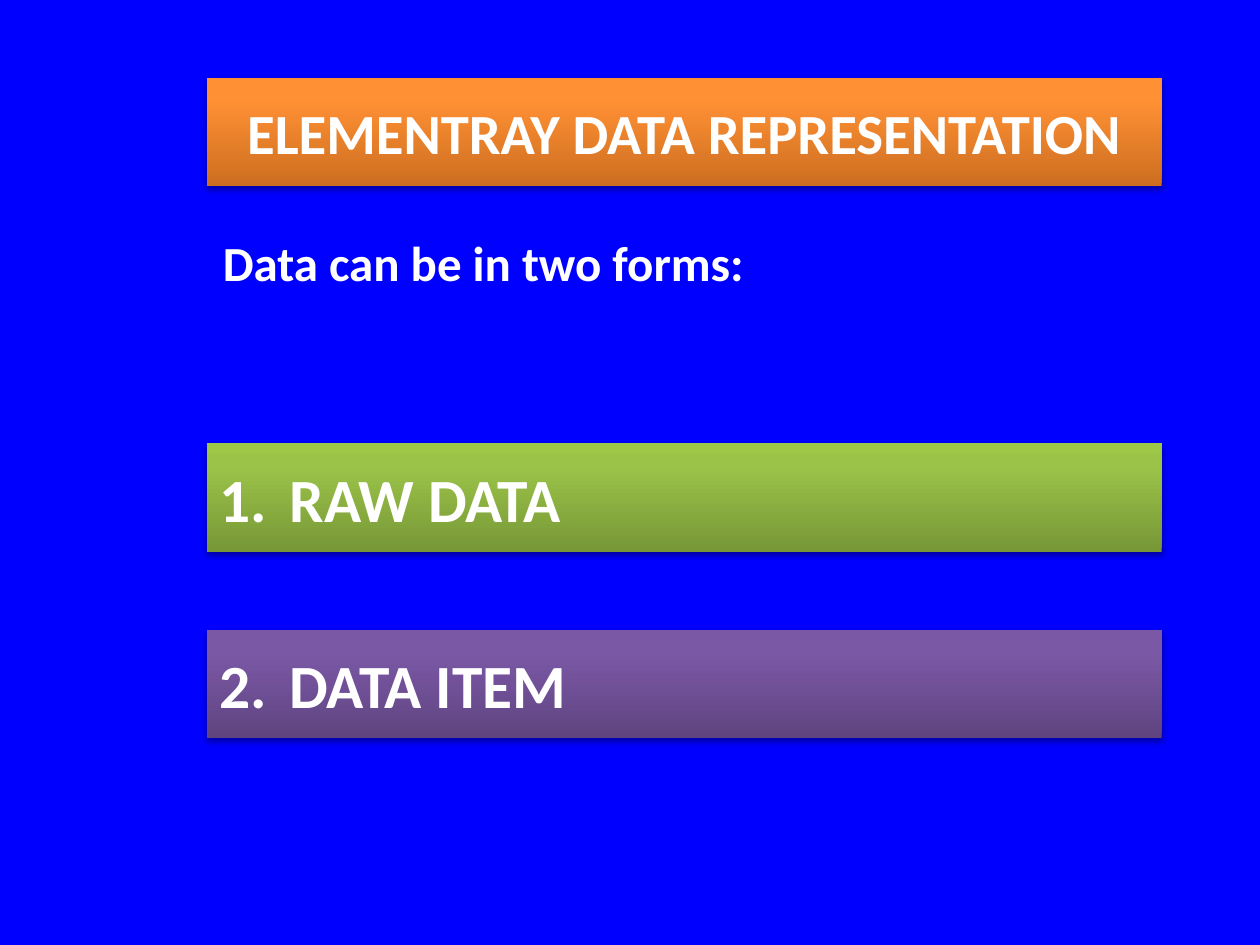
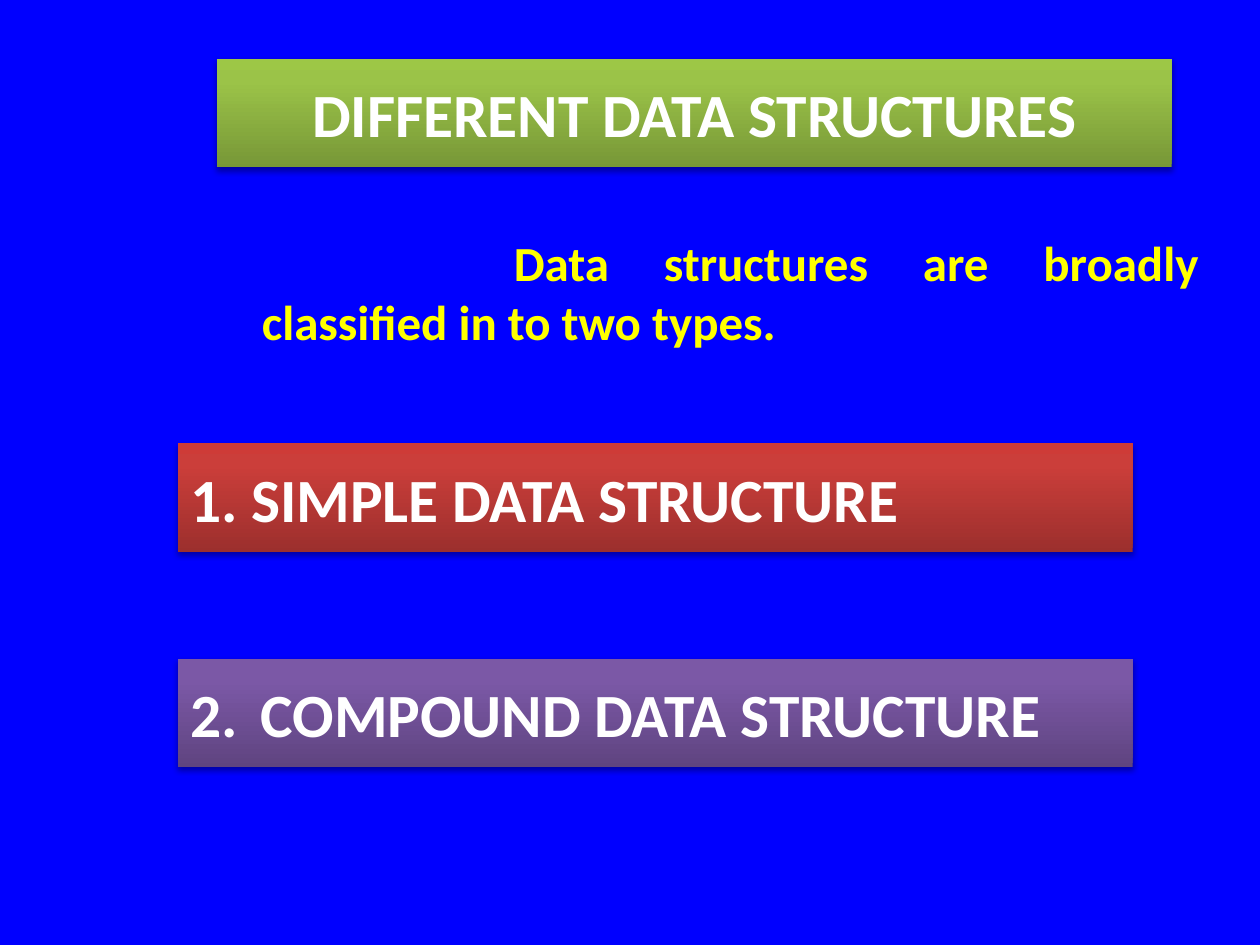
from copy import deepcopy

from lxml import etree
from pptx import Presentation
from pptx.dml.color import RGBColor
from pptx.enum.shapes import MSO_SHAPE
from pptx.enum.text import MSO_ANCHOR, PP_ALIGN
from pptx.oxml.ns import qn
from pptx.util import Inches, Pt

RECTANGLE = MSO_SHAPE.RECTANGLE
MIDDLE, TOP = MSO_ANCHOR.MIDDLE, MSO_ANCHOR.TOP
LEFT, CENTER, JUSTIFY = PP_ALIGN.LEFT, PP_ALIGN.CENTER, PP_ALIGN.JUSTIFY

COLORS = {"background": "0000FF", "text": "FFFFFF", "accent": "FFFF00", "shadow": "000000"}
# Bar gradients run from the bottom edge to the top edge.
GRADIENTS = {
    "orange": ("CC6E20", "FF9034", "FF9136"),
    "green": ("779737", "9BC348", "9DC746"),
    "purple": ("5F4480", "7B58A6", "7C57A8"),
    "red": ("9C2F2D", "CB3E3A", "CE3B37"),
}
GRADIENT_POSITIONS = (0, 0.8, 1)

# The grid has 100 columns and 75 rows.
COLUMNS, ROWS = 100, 75
BAR_WIDTH, BAR_HEIGHT = 75.8, 8.6
FIRST_ITEM_ROW = 35.2
BAR_HANG = 5.6
INTRO_LEFT, INTRO_TOP, INTRO_WIDTH = 11.7, 18, 84.4
INTRO_MARGIN = 8.1


class DataDeck:
    font = "Calibri"
    bar_size = 35.1
    intro_size = 28

    def __init__(self):
        self.deck = Presentation()
        self.deck.slide_width = Inches(10)
        self.deck.slide_height = Inches(7.5)
        self.page = None

    def across(self, columns):
        return round(self.deck.slide_width * columns / COLUMNS)

    def down(self, rows):
        return round(self.deck.slide_height * rows / ROWS)

    def area(self, left, top, width, height):
        return self.across(left), self.down(top), self.across(width), self.down(height)

    def add_page(self):
        self.page = self.deck.slides.add_slide(self.deck.slide_layouts[6])
        fill = self.page.background.fill
        fill.solid()
        fill.fore_color.rgb = RGBColor.from_string(COLORS["background"])

    def set_text(self, box, text, size, color, align, anchor, margin, indent):
        frame = box.text_frame
        frame.word_wrap = True
        frame.vertical_anchor = anchor
        para = frame.paragraphs[0]
        para.text = text
        para.alignment = align
        para.font.name = self.font
        para.font.size = Pt(size)
        para.font.bold = True
        para.font.color.rgb = RGBColor.from_string(COLORS[color])
        properties = para._p.get_or_add_pPr()
        properties.set("marL", str(self.across(margin)))
        properties.set("indent", str(self.across(indent)))

    def shade(self, bar, gradient):
        bar.fill.gradient()
        bar.fill.gradient_angle = 90
        stop_list = bar.element.find(f".//{qn('a:gsLst')}")
        stop_list.append(deepcopy(stop_list[-1]))
        stops = zip(bar.fill.gradient_stops, GRADIENT_POSITIONS, GRADIENTS[gradient])
        for stop, position, color in stops:
            stop.position = position
            stop.color.rgb = RGBColor.from_string(color)

    def drop_shadow(self, bar):
        bar.shadow.inherit = False
        effects = bar.element.find(f".//{qn('a:effectLst')}")
        shadow = etree.SubElement(
            effects, qn("a:outerShdw"), blurRad=str(Pt(3.1)), dist=str(Pt(1.8)),
            dir="5400000", rotWithShape="0")
        color = etree.SubElement(shadow, qn("a:srgbClr"), val=COLORS["shadow"])
        etree.SubElement(color, qn("a:alpha"), val="35000")

    def bar(self, text, gradient, left, top, align=LEFT, size=bar_size):
        bar = self.page.shapes.add_shape(
            RECTANGLE, *self.area(left, top, BAR_WIDTH, BAR_HEIGHT))
        self.shade(bar, gradient)
        bar.line.fill.background()
        self.drop_shadow(bar)
        self.set_text(bar, text, size, "text", align, MIDDLE, BAR_HANG, -BAR_HANG)

    def intro(self, text, height, color, indent):
        box = self.page.shapes.add_textbox(
            *self.area(INTRO_LEFT, INTRO_TOP, INTRO_WIDTH, height))
        self.set_text(box, text, self.intro_size, color, JUSTIFY, TOP, INTRO_MARGIN, indent)

    def items(self, left, pitch, entries):
        """Stack the numbered bars, one every `pitch` rows."""
        for index, (text, gradient) in enumerate(entries):
            self.bar(text, gradient, left, FIRST_ITEM_ROW + index * pitch)

    def save(self):
        self.deck.save("out.pptx")


def main():
    deck = DataDeck()

    deck.add_page()
    deck.bar("ELEMENTRAY DATA REPRESENTATION", "orange", 16.4, 6.2, CENTER, 32.4)
    deck.intro("Data can be in two forms:", 8.6, "text", -3.1)
    deck.items(16.4, 14.8, [("1.\tRAW DATA", "green"), ("2.\tDATA ITEM", "purple")])

    deck.add_page()
    deck.bar("DIFFERENT DATA STRUCTURES", "green", 17.2, 4.7, CENTER)
    deck.intro("Data structures are broadly classified in to two types.", 13.3, "accent", 20)
    deck.items(14.1, 17.1, [("1. SIMPLE DATA STRUCTURE", "red"),
                            ("2.\tCOMPOUND DATA STRUCTURE", "purple")])

    deck.save()


if __name__ == "__main__":
    main()
